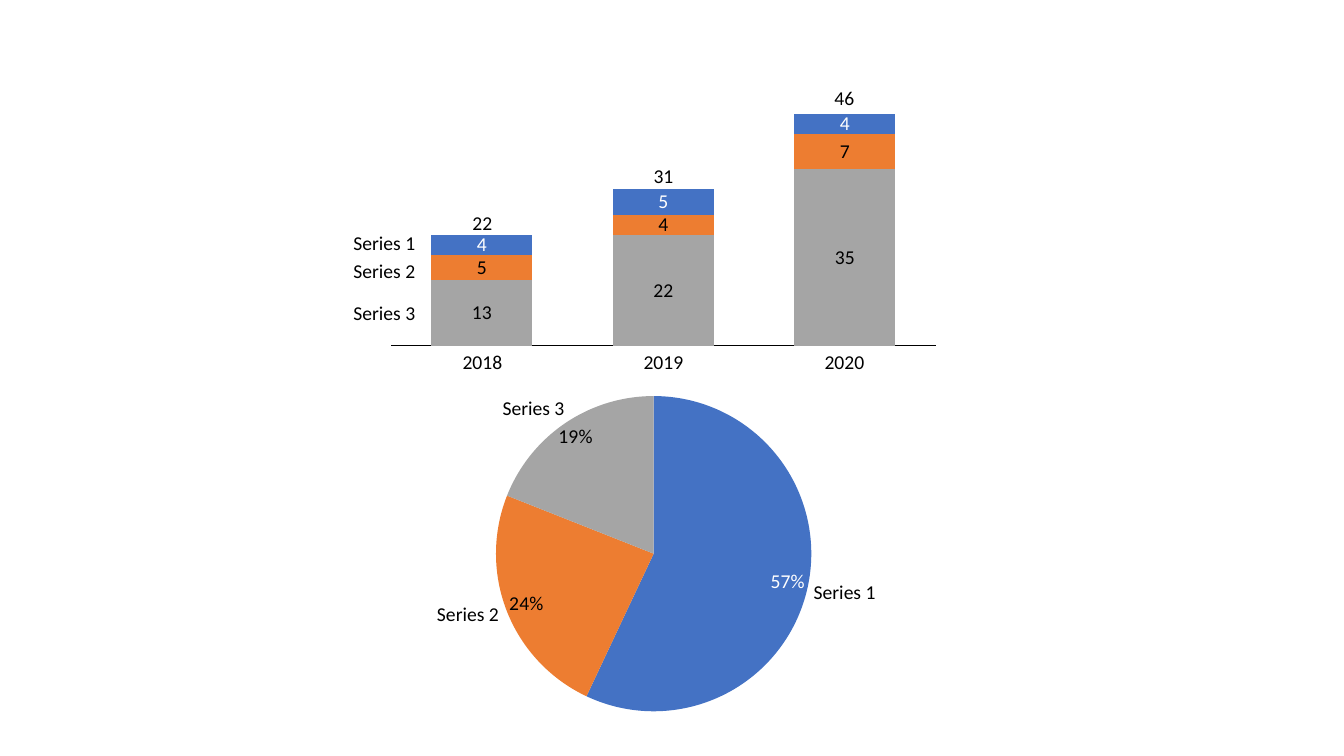
from dataclasses import dataclass

from lxml import etree
from pptx import Presentation
from pptx.chart.data import CategoryChartData
from pptx.dml.color import RGBColor
from pptx.enum.chart import XL_CHART_TYPE as ChartType
from pptx.enum.chart import XL_LABEL_POSITION as LabelPosition
from pptx.enum.chart import XL_TICK_LABEL_POSITION as TickLabels
from pptx.enum.chart import XL_TICK_MARK as TickMark
from pptx.enum.text import MSO_ANCHOR as Anchor
from pptx.enum.text import PP_ALIGN as Align
from pptx.oxml.ns import qn
from pptx.util import Inches, Pt


@dataclass(frozen=True)
class Theme:
    font: str = "Calibri"
    size: Pt = Pt(14)
    black: RGBColor = RGBColor(0, 0, 0)
    white: RGBColor = RGBColor(255, 255, 255)
    blue: RGBColor = RGBColor(0x44, 0x72, 0xC4)
    orange: RGBColor = RGBColor(0xED, 0x7D, 0x31)
    gray: RGBColor = RGBColor(0xA5, 0xA5, 0xA5)


theme = Theme()
presentation = Presentation()
presentation.slide_width = Inches(13.33)
presentation.slide_height = Inches(7.5)
slide = presentation.slides.add_slide(presentation.slide_layouts[6])


def add_plain_chart(kind, data, box, plot_box):
    """Add a chart without title or legend, with a fixed inner plot area."""
    chart = slide.shapes.add_chart(kind, *map(Inches, box), data).chart
    chart.has_title = False
    chart.has_legend = False
    chart.font.name = theme.font
    chart.font.size = theme.size
    chart.font.color.rgb = theme.black
    plot_area = chart.plots[0]._element.getparent()
    for old_layout in plot_area.findall(qn("c:layout")):
        plot_area.remove(old_layout)
    layout = etree.Element(qn("c:layout"))
    manual = etree.SubElement(layout, qn("c:manualLayout"))
    settings = [("layoutTarget", "inner"), ("xMode", "edge"), ("yMode", "edge")]
    for tag, value in settings + list(zip("xywh", plot_box)):
        etree.SubElement(manual, qn(f"c:{tag}")).set("val", str(value))
    plot_area.insert(0, layout)
    return chart


def add_label(text, left, top, width, align, anchor=Anchor.MIDDLE):
    frame = slide.shapes.add_textbox(
        Inches(left), Inches(top), Inches(width), Inches(0.21)).text_frame
    frame.margin_left = frame.margin_right = 0
    frame.margin_top = frame.margin_bottom = 0
    frame.word_wrap = False
    frame.vertical_anchor = anchor
    paragraph = frame.paragraphs[0]
    paragraph.text = text
    paragraph.alignment = align
    paragraph.line_spacing = 0.9
    paragraph.font.name = theme.font
    paragraph.font.size = theme.size
    paragraph.font.color.rgb = theme.black


# Stacked columns, from bottom to top
years = ["2018", "2019", "2020"]
stacks = [
    ("Series 3", [13, 22, 35], theme.gray, theme.black),
    ("Series 2", [5, 4, 7], theme.orange, theme.black),
    ("Series 1", [4, 5, 4], theme.blue, theme.white),
]
column_data = CategoryChartData(number_format="0")
column_data.categories = years
for name, values, _, _ in stacks:
    column_data.add_series(name, values)
column_chart = add_plain_chart(
    ChartType.COLUMN_STACKED, column_data,
    (3.79, 1.02, 5.58, 2.5), (0.016, 0.036, 0.968, 0.928))

column_plot = column_chart.plots[0]
column_plot.gap_width = 80
column_plot.overlap = 100
column_plot.vary_by_categories = False
for series, (_, _, fill_color, text_color) in zip(column_plot.series, stacks):
    series.format.fill.solid()
    series.format.fill.fore_color.rgb = fill_color
    labels = series.data_labels
    labels.show_value = True
    labels.position = LabelPosition.CENTER
    labels.font.name = theme.font
    labels.font.size = theme.size
    labels.font.color.rgb = text_color

value_axis = column_chart.value_axis
value_axis.minimum_scale = 0
value_axis.maximum_scale = 46.4
value_axis.has_major_gridlines = False
value_axis.visible = False
category_axis = column_chart.category_axis
category_axis.tick_label_position = TickLabels.NONE
category_axis.major_tick_mark = TickMark.NONE
category_axis.format.line.color.rgb = theme.black
category_axis.format.line.width = Pt(0.75)

# Years below the columns and totals above them
for index, (year, total_top) in enumerate(zip(years, [2.12, 1.65, 0.88])):
    left = 4.58 + 1.795 * index
    total = sum(values[index] for _, values, _, _ in stacks)
    add_label(year, left, 3.5, 0.41, Align.CENTER, Anchor.TOP)
    add_label(str(total), left, total_top, 0.41, Align.CENTER, Anchor.BOTTOM)

# Series names beside the first column
name_width = 0.64
for name, top in [("Series 1", 2.32), ("Series 2", 2.59), ("Series 3", 3.01)]:
    add_label(name, 3.48, top, name_width, Align.RIGHT)

# Pie: name, share, colours, share label offset, name position and alignment
slices = [
    ("Series 1", 57, theme.blue, theme.white, (0.01, 0.02), (8.07, 5.78), Align.LEFT),
    ("Series 2", 24, theme.orange, theme.black, (-0.01, 0.02), (4.31, 6), Align.RIGHT),
    ("Series 3", 19, theme.gray, theme.black, (-0.03, -0.01), (4.96, 3.95), Align.RIGHT),
]
pie_data = CategoryChartData(number_format='0"%"')
pie_data.categories = [name for name, *_ in slices]
pie_data.add_series("Share", [share for _, share, *_ in slices])
pie_chart = add_plain_chart(
    ChartType.PIE, pie_data,
    (4.83, 3.84, 3.31, 3.31), (0.027, 0.027, 0.945, 0.945))

pie_series = pie_chart.plots[0].series[0]
for index, (name, _, fill_color, text_color, _, (left, top), align) in enumerate(slices):
    point = pie_series.points[index]
    point.format.fill.solid()
    point.format.fill.fore_color.rgb = fill_color
    point.format.line.fill.background()
    share_label = point.data_label
    share_label.position = LabelPosition.INSIDE_END
    share_label.font.name = theme.font
    share_label.font.size = theme.size
    share_label.font.color.rgb = text_color
    add_label(name, left, top, name_width, align)

# Shift the share labels
for label_element, (*_, offset, _, _) in zip(
        pie_series._element.iter(qn("c:dLbl")), slices):
    label_layout = etree.Element(qn("c:layout"))
    manual_layout = etree.SubElement(label_layout, qn("c:manualLayout"))
    for axis, shift in zip("xy", offset):
        etree.SubElement(manual_layout, qn(f"c:{axis}")).set("val", str(shift))
    label_element.insert(1, label_layout)

presentation.save("out.pptx")
